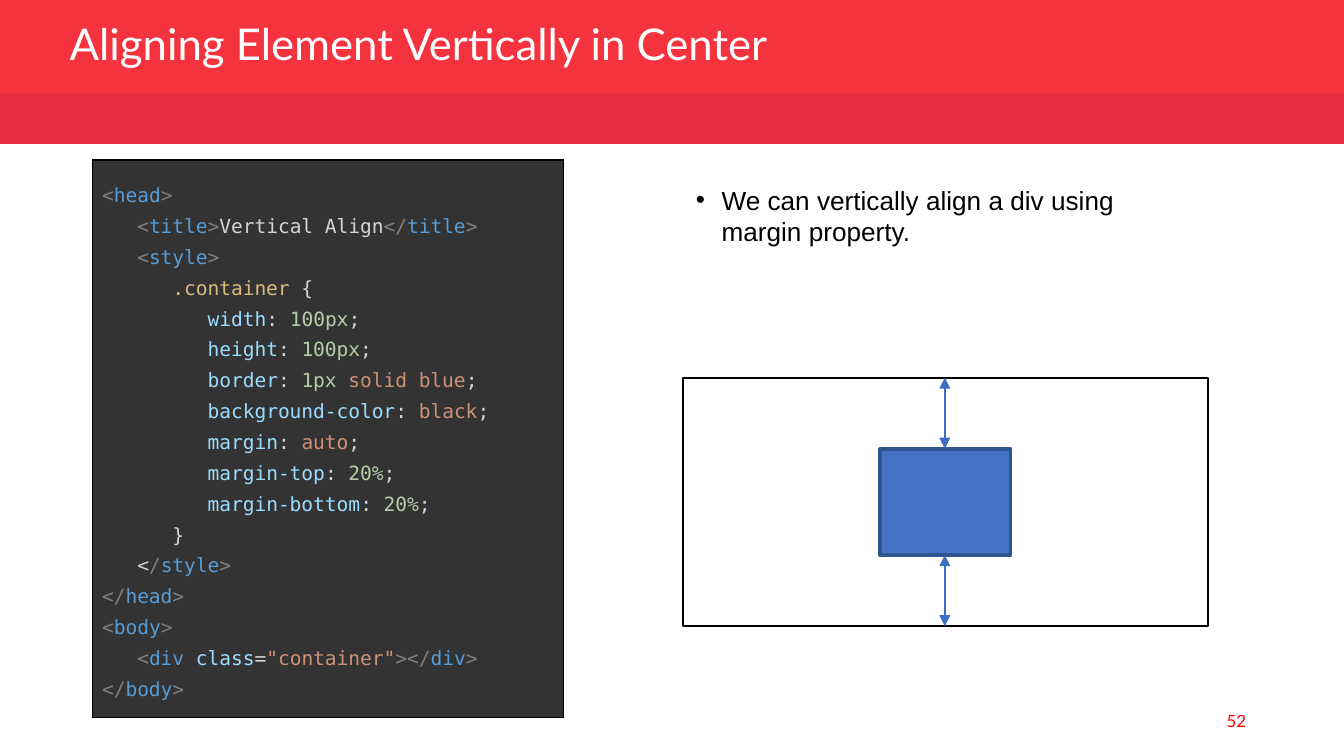
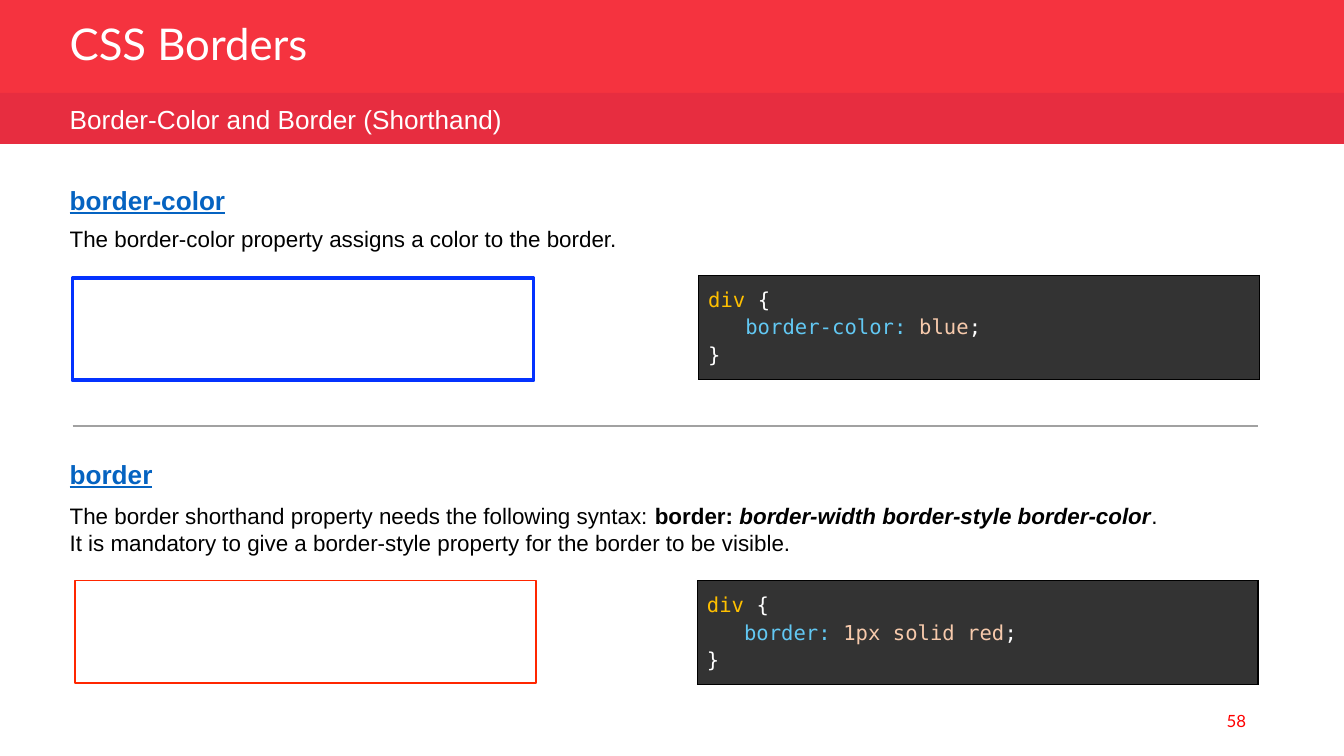
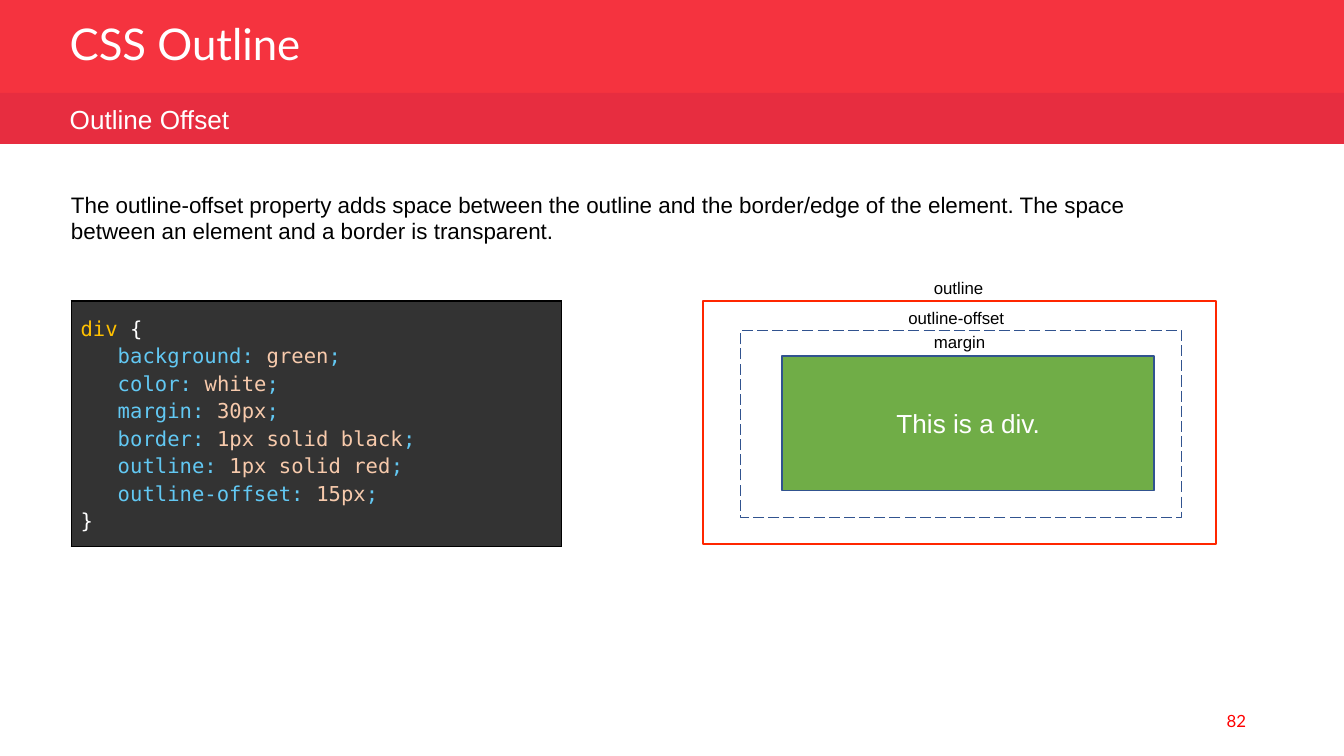
"""Build three slides on CSS alignment, borders and outlines."""
import lxml.etree
import pptx
import pptx.dml.color
import pptx.enum.dml
import pptx.enum.shapes
import pptx.enum.text
import pptx.oxml
import pptx.oxml.ns
import pptx.util


class Theme:
    red, band, page = "F5333F", "E72D40", "FF0000"
    white, black, link, rule = "FFFFFF", "000000", "0563C1", "A1A1A1"
    blue, navy, arrow, green = "4472C4", "31538F", "3E6EC2", "70AD47"
    edge, frame = "0432FF", "FF2600"
    dark, dim, tag, ash = "333333", "808080", "569CD6", "D4D4D4"
    name, prop, num, word = "D7BA7D", "9CDCFE", "B5CEA8", "CE9178"
    gold, sky, peach = "FFC000", "62C8F3", "F7CAAC"
    sans, head, mono = "Arial", "Lato", "DejaVu Sans Mono"
    title, large, body, small, code, dense = 23.4, 14, 12, 9, 11, 10.5


def write(frame, lines, size, face=Theme.sans, align="LEFT", gap=None):
    for i, line in enumerate(lines):
        para = frame.add_paragraph() if i else frame.paragraphs[0]
        para.alignment = pptx.enum.text.PP_ALIGN[align]
        para.line_spacing = gap
        para.font.size = pptx.util.Pt(size)
        for text, ink, *style in line:
            run = para.add_run()
            run.text = text
            font = run.font
            font.name, font.size = face, pptx.util.Pt(size)
            font.color.rgb = pptx.dml.color.RGBColor.from_string(ink)
            if style:
                font.bold, font.italic, font.underline = ("b" in style[0], "i" in style[0], "u" in style[0])


def rect(slide, box, fill=None, line=None, width=1):
    shape = slide.shapes.add_shape(pptx.enum.shapes.MSO_SHAPE.RECTANGLE, *map(pptx.util.Inches, box))
    shape.shadow.inherit = False
    if fill:
        shape.fill.solid()
        shape.fill.fore_color.rgb = pptx.dml.color.RGBColor.from_string(fill)
    else:
        shape.fill.background()
    if line:
        shape.line.color.rgb = pptx.dml.color.RGBColor.from_string(line)
        shape.line.width = pptx.util.Pt(width)
    else:
        shape.line.fill.background()
    return shape


T = Theme
TOP, MID = pptx.enum.text.MSO_ANCHOR.TOP, pptx.enum.text.MSO_ANCHOR.MIDDLE
deck = pptx.Presentation()
deck.slide_width = pptx.util.Inches(10)
deck.slide_height = deck.slide_width * 9 // 16

heads = [
    ("Aligning Element Vertically in Center", "", "52"),
    ("CSS Borders", "Border-Color and Border (Shorthand)", "58"),
    ("CSS Outline", "Outline Offset", "82"),
]
for title, topic, page in heads:
    slide = deck.slides.add_slide(deck.slide_layouts[6])
    rect(slide, (0, 0, 10, 0.7), T.red)
    rect(slide, (0, 0.69, 10, 0.38), T.band)
    parts = [
        ((0.42, 0.14, 7.4, 0.44), title, T.title, T.head, T.white, "LEFT", 0.8, MID),
        ((0.42, 0.72, 5.09, 0.34), topic, T.large, T.sans, T.white, "LEFT", None, TOP),
        ((7.12, 5.21, 2.25, 0.3), page, T.small, T.head, T.page, "RIGHT", None, MID),
    ]
    for box, text, size, face, ink, align, gap, anchor in parts:
        if text:
            frame = slide.shapes.add_textbox(*map(pptx.util.Inches, box)).text_frame
            frame.word_wrap = True
            frame.vertical_anchor = anchor
            write(frame, [[(text, ink)]], size, face, align, gap)

center, border, outline = deck.slides

rect(center, (5.08, 2.81, 3.91, 1.85), None, T.black)
rect(center, (6.55, 3.34, 0.97, 0.79), T.blue, T.navy, 2)
rect(border, (0.54, 2.07, 3.43, 0.76), None, T.edge, 2)
rect(border, (0.56, 4.32, 3.43, 0.76), None, T.frame)
rect(outline, (5.23, 2.24, 3.82, 1.81), None, T.frame)
block = rect(outline, (5.82, 2.65, 2.77, 1), T.green, T.navy)
block.text_frame.vertical_anchor = MID
write(block.text_frame, [[("This is a div.", T.white)]], T.large, align="CENTER")
dash = rect(outline, (5.51, 2.46, 3.28, 1.39), None, T.navy, 0.75)
dash.line.dash_style = pptx.enum.dml.MSO_LINE.LONG_DASH

notes = [
    (center, (5.08, 1.32, 3.91, 1.31), T.large,
     [("We can vertically align a div using margin property.", T.black)]),
    (border, (0.42, 1.32, 1.59, 0.34), T.large, [("border-color", T.link, "bu")]),
    (border, (0.42, 1.63, 8.34, 0.3), T.body,
     [("The border-color property assigns a color to the border.", T.black)]),
    (border, (0.42, 3.36, 0.94, 0.34), T.large, [("border", T.link, "bu")]),
    (border, (0.42, 3.69, 8.34, 0.5), T.body, [
        ("The border shorthand property needs the following syntax: ", T.black),
        ("border: ", T.black, "b"),
        ("border-width border-style border-color", T.black, "bi"),
        (". It is mandatory to give a border-style property for the border to be visible.", T.black)]),
    (outline, (0.43, 1.37, 8.63, 0.5), T.body,
     [("The outline-offset property adds space between the outline and the border/edge of the element. "
       "The space between an element and a border is transparent.", T.black)]),
    (outline, (6.85, 2.02, 0.57, 0.25), T.small, [("outline", T.black)]),
    (outline, (6.66, 2.24, 0.92, 0.25), T.small, [("outline-offset", T.black)]),
    (outline, (6.85, 2.42, 0.59, 0.25), T.small, [("margin", T.black)]),
]
for slide, box, size, line in notes:
    frame = slide.shapes.add_textbox(*map(pptx.util.Inches, box)).text_frame
    frame.word_wrap = size > T.small
    if slide is notes[0][0]:
        props = frame.paragraphs[0]._p.get_or_add_pPr()
        props.set("marL", str(pptx.util.Inches(0.19)))
        props.set("indent", str(pptx.util.Inches(-0.19)))
        tint = lxml.etree.SubElement(props, pptx.oxml.ns.qn("a:buClr"))
        lxml.etree.SubElement(tint, pptx.oxml.ns.qn("a:srgbClr"), val=T.black)
        lxml.etree.SubElement(props, pptx.oxml.ns.qn("a:buFont"), typeface=T.sans)
        lxml.etree.SubElement(props, pptx.oxml.ns.qn("a:buChar"), char="•")
    write(frame, [line], size)

wires = [
    (center, (7.03, 2.81, 7.03, 3.34), T.arrow, True),
    (center, (7.03, 4.13, 7.03, 4.66), T.arrow, True),
    (border, (0.54, 3.17, 9.36, 3.17), T.rule, False),
]
for slide, ends, ink, tips in wires:
    wire = slide.shapes.add_connector(pptx.enum.shapes.MSO_CONNECTOR.STRAIGHT, *map(pptx.util.Inches, ends))
    wire.line.color.rgb = pptx.dml.color.RGBColor.from_string(ink)
    wire.line.width = pptx.util.Pt(0.75)
    if tips:
        for end in ("a:headEnd", "a:tailEnd"):
            lxml.etree.SubElement(wire.line._get_or_add_ln(), pptx.oxml.ns.qn(end), type="triangle")
    lxml.etree.SubElement(wire._element.spPr, pptx.oxml.ns.qn("a:effectLst"))

rules = [
    ("width", [("100px", T.num)]),
    ("height", [("100px", T.num)]),
    ("border", [("1px ", T.num), ("solid blue", T.word)]),
    ("background-color", [("black", T.word)]),
    ("margin", [("auto", T.word)]),
    ("margin-top", [("20%", T.num)]),
    ("margin-bottom", [("20%", T.num)]),
]
markup = [
    [("<", T.dim), ("head", T.tag), (">", T.dim)],
    [("   <", T.dim), ("title", T.tag), (">", T.dim), ("Vertical Align", T.ash),
     ("</", T.dim), ("title", T.tag), (">", T.dim)],
    [("   <", T.dim), ("style", T.tag), (">", T.dim)],
    [("      ", T.ash), (".container", T.name), (" {", T.ash)],
    *[[("         ", T.ash), (key, T.prop), (": ", T.ash), *vals, (";", T.ash)] for key, vals in rules],
    [("      }", T.ash)],
    [("   <", T.ash), ("/", T.dim), ("style", T.tag), (">", T.dim)],
    [("</", T.dim), ("head", T.tag), (">", T.dim)],
    [("<", T.dim), ("body", T.tag), (">", T.dim)],
    [("   <", T.dim), ("div ", T.tag), ("class", T.prop), ("=", T.ash),
     ('"container"', T.word), ("></", T.dim), ("div", T.tag), (">", T.dim)],
    [("</", T.dim), ("body", T.tag), (">", T.dim)],
]
styles = [
    (border, (5.2, 2.05, 4.17, 0.76), 0.72, T.white, [("border-color", "blue")]),
    (border, (5.19, 4.32, 4.17, 0.76), 0.72, T.white, [("border", "1px solid red")]),
    (outline, (0.53, 2.24, 3.65, 1.81), 1.29, T.sky, [
        ("background", "green"), ("color", "white"), ("margin", "30px"),
        ("border", "1px solid black"), ("outline", "1px solid red"), ("outline-offset", "15px")]),
]
codes = [(center, (0.69, 1.19, 3.5, 4.16), 1.69, T.dense, 1.35, markup)]
for slide, box, tall, stop, pairs in styles:
    lines = [[(f"   {key}: ", T.sky), (val, T.peach), (";", stop)] for key, val in pairs]
    codes.append((slide, box, tall, T.code, 1.15,
                  [[("div ", T.gold), ("{", T.white)], *lines, [("}", T.white)]]))

for slide, box, tall, size, gap, lines in codes:
    holder = slide.shapes.add_table(1, 1, *map(pptx.util.Inches, box))
    table = holder.table
    table.rows[0].height = pptx.util.Inches(tall)
    holder.height = pptx.util.Inches(box[3])
    table.first_row = table.horz_banding = False
    cell = table.cell(0, 0)
    cell.fill.solid()
    cell.fill.fore_color.rgb = pptx.dml.color.RGBColor.from_string(T.dark)
    cell.margin_left = cell.margin_right = cell.margin_top = cell.margin_bottom = pptx.util.Inches(0.07)
    if slide is not border:
        cell.vertical_anchor = MID
    props = cell._tc.get_or_add_tcPr()
    for i, side in enumerate("LRTB"):
        edge = lxml.etree.Element(pptx.oxml.ns.qn(f"a:ln{side}"), w=str(pptx.util.Pt(0.75)))
        fill = lxml.etree.SubElement(edge, pptx.oxml.ns.qn("a:solidFill"))
        lxml.etree.SubElement(fill, pptx.oxml.ns.qn("a:srgbClr"), val=T.black)
        props.insert(i, edge)
    write(cell.text_frame, lines, size, T.mono, gap=gap)

deck.save("out.pptx")
